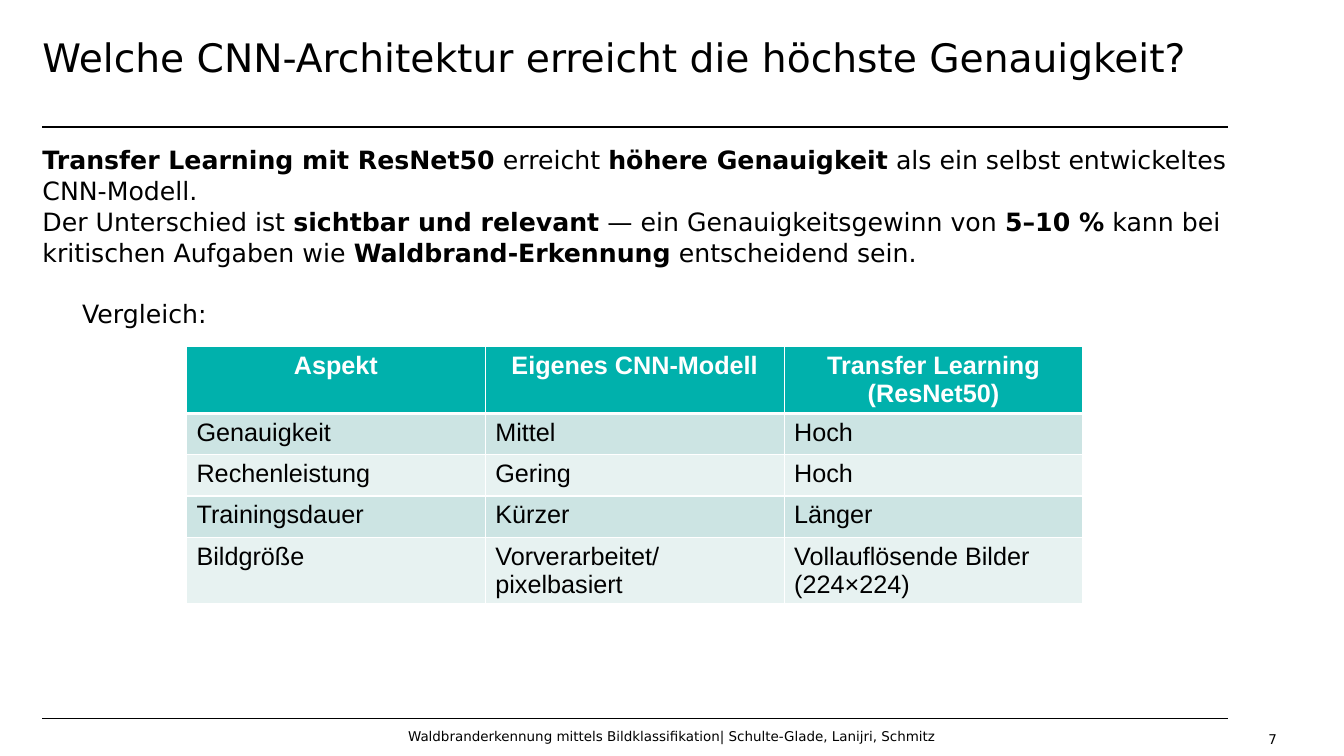
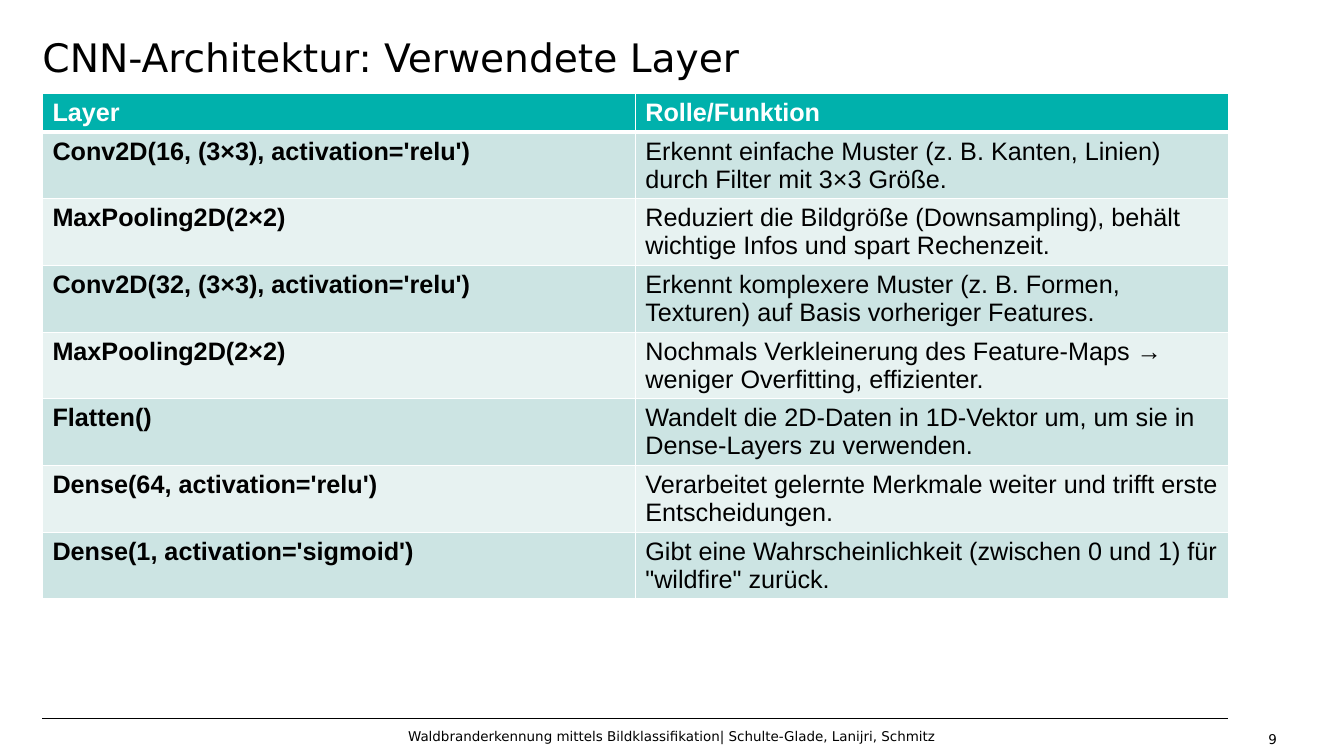
"""Build two slides on CNN architectures for wildfire detection."""
from dataclasses import dataclass
from typing import Any, NamedTuple

from lxml.etree import SubElement
from pptx import Presentation
from pptx.dml.color import RGBColor
from pptx.enum.shapes import MSO_CONNECTOR
from pptx.enum.text import MSO_ANCHOR, MSO_AUTO_SIZE, PP_ALIGN
from pptx.oxml.ns import qn
from pptx.util import Cm, Pt


@dataclass(frozen=True)
class Theme:
    """Colours, fonts and type sizes of the deck."""

    ink: RGBColor = RGBColor(0x00, 0x00, 0x00)
    paper: RGBColor = RGBColor(0xFF, 0xFF, 0xFF)
    header: RGBColor = RGBColor(0x00, 0xB1, 0xAC)
    bands: tuple[RGBColor, RGBColor] = (RGBColor(0xCC, 0xE4, 0xE3), RGBColor(0xE7, 0xF2, 0xF1))
    text_font: str = "DejaVu Sans"
    table_font: str = "Arial"
    title_size: Pt = Pt(28)
    body_size: Pt = Pt(18)
    footer_size: Pt = Pt(9.6)
    rule_width: Pt = Pt(1)
    header_rule_width: Pt = Pt(3)


class Area(NamedTuple):
    """Left, top, width and height of a box."""

    left: Cm
    top: Cm
    width: Cm
    height: Cm


class Span(NamedTuple):
    """A stretch of text, bold or regular."""

    text: str
    bold: bool = False


class Statement(NamedTuple):
    """A body paragraph with its spacing and indent."""

    spans: tuple[Span, ...]
    before: Pt = Pt(0)
    indent: Cm = Cm(0)


class Grid(NamedTuple):
    """A table with a header row and banded rows."""

    left: Cm
    top: Cm
    column_width: Cm
    row_heights: tuple[Cm, ...]
    rows: tuple[tuple[str, ...], ...]
    header_align: PP_ALIGN = PP_ALIGN.LEFT
    bold_first_column: bool = False


class Content(NamedTuple):
    """Everything that differs from page to page."""

    number: int
    title: str
    grid: Grid
    statements: tuple[Statement, ...] = ()


THEME = Theme()
MARGIN = Cm(1.07)
TEXT_WIDTH = Cm(29.88)
TITLE_AREA = Area(MARGIN, Cm(0.79), TEXT_WIDTH, Cm(2))
BODY_AREA = Area(MARGIN, Cm(3.61), TEXT_WIDTH, Cm(14))
FOOTER_AREA = Area(Cm(9.14), Cm(18.03), Cm(15.57), Cm(1.02))
NUMBER_AREA = Area(Cm(24.28), Cm(18.11), Cm(7.9), Cm(1.02))
RULE_TOPS = (Cm(3.2), Cm(18.11))
FOOTER = "Waldbranderkennung mittels Bildklassifikation| Schulte-Glade, Lanijri, Schmitz"
ONE_LINE = Cm(1.04)
TWO_LINES = Cm(1.68)
TITLE_AND_BODY, TITLE_ONLY = 1, 5

FRAME_FORMAT = {
    "margin_left": 0, "margin_top": 0, "margin_right": 0, "margin_bottom": 0,
    "word_wrap": True, "auto_size": MSO_AUTO_SIZE.NONE,
}

COMPARISON = Content(
    number=7,
    title="Welche CNN-Architektur erreicht die höchste Genauigkeit?",
    statements=(
        Statement((
            Span("Transfer Learning mit ResNet50", True), Span(" erreicht "),
            Span("höhere Genauigkeit", True),
            Span(" als ein selbst entwickeltes CNN-Modell."),
        )),
        Statement((
            Span("Der Unterschied ist "), Span("sichtbar und relevant", True),
            Span(" — ein Genauigkeitsgewinn von "), Span("5–10 %", True),
            Span(" kann bei kritischen Aufgaben wie "),
            Span("Waldbrand-Erkennung", True), Span(" entscheidend sein."),
        )),
        Statement((Span("Vergleich:"),), before=Pt(21.5), indent=Cm(1)),
    ),
    grid=Grid(
        left=Cm(4.7), top=Cm(8.74), column_width=Cm(7.53),
        row_heights=(TWO_LINES, ONE_LINE, ONE_LINE, ONE_LINE, TWO_LINES),
        header_align=PP_ALIGN.CENTER,
        rows=(
            ("Aspekt", "Eigenes CNN-Modell", "Transfer Learning (ResNet50)"),
            ("Genauigkeit", "Mittel", "Hoch"),
            ("Rechenleistung", "Gering", "Hoch"),
            ("Trainingsdauer", "Kürzer", "Länger"),
            ("Bildgröße", "Vorverarbeitet/pixelbasiert", "Vollauflösende Bilder (224×224)"),
        ),
    ),
)

LAYERS = Content(
    number=9,
    title="CNN-Architektur: Verwendete Layer",
    grid=Grid(
        left=MARGIN, top=Cm(2.36), column_width=Cm(14.94),
        row_heights=(Cm(0.97),) + (TWO_LINES,) * 7,
        bold_first_column=True,
        rows=(
            ("Layer", "Rolle/Funktion"),
            ("Conv2D(16, (3×3), activation='relu')",
             "Erkennt einfache Muster (z. B. Kanten, Linien) durch Filter mit 3×3 Größe."),
            ("MaxPooling2D(2×2)",
             "Reduziert die Bildgröße (Downsampling), behält wichtige Infos und spart Rechenzeit."),
            ("Conv2D(32, (3×3), activation='relu')",
             "Erkennt komplexere Muster (z. B. Formen, Texturen) auf Basis vorheriger Features."),
            ("MaxPooling2D(2×2)",
             "Nochmals Verkleinerung des Feature-Maps → weniger Overfitting, effizienter."),
            ("Flatten()",
             "Wandelt die 2D-Daten in 1D-Vektor um, um sie in Dense-Layers zu verwenden."),
            ("Dense(64, activation='relu')",
             "Verarbeitet gelernte Merkmale weiter und trifft erste Entscheidungen."),
            ("Dense(1, activation='sigmoid')",
             "Gibt eine Wahrscheinlichkeit (zwischen 0 und 1) für \"wildfire\" zurück."),
        ),
    ),
)


def apply_format(target: Any, values: dict[str, Any]) -> None:
    """Set each named attribute on the target."""
    for name, value in values.items():
        setattr(target, name, value)


def add_span(para: Any, span: Span, size: Pt, font: str = THEME.text_font,
             color: RGBColor = THEME.ink) -> None:
    """Append a formatted span to a paragraph."""
    run = para.add_run()
    run.text = span.text
    apply_format(run.font, {"name": font, "size": size, "bold": span.bold})
    run.font.color.rgb = color


def prepare_box(box: Any, area: Area, anchor: MSO_ANCHOR) -> Any:
    """Place a box, clear its insets and return its text frame."""
    apply_format(box, area._asdict())
    apply_format(box.text_frame, FRAME_FORMAT | {"vertical_anchor": anchor})
    return box.text_frame


def add_rule(page: Any, top: Cm) -> None:
    """Draw a horizontal rule across the text width."""
    rule = page.shapes.add_connector(
        MSO_CONNECTOR.STRAIGHT, MARGIN, top, MARGIN + TEXT_WIDTH, top)
    rule.line.color.rgb = THEME.ink
    rule.line.width = THEME.rule_width
    SubElement(rule.element.spPr, qn("a:effectLst"))


def add_footer_text(page: Any, area: Area, text: str, align: PP_ALIGN) -> None:
    """Write one line of footer text."""
    box = page.shapes.add_textbox(*area)
    para = prepare_box(box, area, MSO_ANCHOR.MIDDLE).paragraphs[0]
    para.alignment = align
    add_span(para, Span(text), THEME.footer_size)


def fill_title(page: Any, text: str) -> None:
    """Format and fill the title placeholder."""
    para = prepare_box(page.shapes.title, TITLE_AREA, MSO_ANCHOR.TOP).paragraphs[0]
    apply_format(para, {"alignment": PP_ALIGN.LEFT, "line_spacing": 1.05, "space_before": Pt(0)})
    add_span(para, Span(text), THEME.title_size)


def fill_body(page: Any, statements: tuple[Statement, ...]) -> None:
    """Format and fill the body placeholder without bullets."""
    frame = prepare_box(page.placeholders[1], BODY_AREA, MSO_ANCHOR.TOP)
    for index, statement in enumerate(statements):
        para = frame.add_paragraph() if index else frame.paragraphs[0]
        apply_format(para, {
            "alignment": PP_ALIGN.LEFT, "line_spacing": 1.03,
            "space_before": statement.before, "space_after": Pt(0),
        })
        properties = para._p.get_or_add_pPr()
        properties.set("marL", str(int(statement.indent)))
        properties.set("indent", "0")
        SubElement(properties, qn("a:buNone"))
        for span in statement.spans:
            add_span(para, span, THEME.body_size)


def add_borders(cell: Any, top: Pt, bottom: Pt) -> None:
    """Give a cell light borders on all four sides."""
    properties = cell._tc.get_or_add_tcPr()
    sides = {"lnL": THEME.rule_width, "lnR": THEME.rule_width, "lnT": top, "lnB": bottom}
    for side, width in sides.items():
        line = SubElement(properties, qn(f"a:{side}"), w=str(int(width)))
        fill = SubElement(line, qn("a:solidFill"))
        SubElement(fill, qn("a:srgbClr"), val=str(THEME.paper))


def add_grid(page: Any, grid: Grid) -> None:
    """Add a table with a coloured header and banded rows."""
    columns = len(grid.rows[0])
    table = page.shapes.add_table(
        len(grid.rows), columns, grid.left, grid.top,
        grid.column_width * columns, sum(grid.row_heights)).table
    for column in table.columns:
        column.width = grid.column_width
    for row_index, texts in enumerate(grid.rows):
        table.rows[row_index].height = grid.row_heights[row_index]
        is_header = row_index == 0
        top = THEME.header_rule_width if row_index == 1 else THEME.rule_width
        bottom = THEME.header_rule_width if is_header else THEME.rule_width
        for column_index, text in enumerate(texts):
            cell = table.cell(row_index, column_index)
            add_borders(cell, top, bottom)
            cell.fill.solid()
            cell.fill.fore_color.rgb = (
                THEME.header if is_header else THEME.bands[(row_index - 1) % 2])
            para = cell.text_frame.paragraphs[0]
            para.alignment = grid.header_align if is_header else PP_ALIGN.LEFT
            bold = is_header or (grid.bold_first_column and column_index == 0)
            add_span(para, Span(text, bold), THEME.body_size, THEME.table_font,
                     THEME.paper if is_header else THEME.ink)


def add_page(deck: Any, content: Content) -> None:
    """Add one page with title, rules, content and footer."""
    layout = TITLE_AND_BODY if content.statements else TITLE_ONLY
    page = deck.slides.add_slide(deck.slide_layouts[layout])
    for top in RULE_TOPS:
        add_rule(page, top)
    fill_title(page, content.title)
    if content.statements:
        fill_body(page, content.statements)
    add_grid(page, content.grid)
    add_footer_text(page, NUMBER_AREA, str(content.number), PP_ALIGN.RIGHT)
    add_footer_text(page, FOOTER_AREA, FOOTER, PP_ALIGN.CENTER)


def main() -> None:
    """Build and save the deck."""
    deck = Presentation()
    apply_format(deck, {"slide_width": Cm(33.87), "slide_height": Cm(19.05)})
    for content in (COMPARISON, LAYERS):
        add_page(deck, content)
    deck.save("out.pptx")


if __name__ == "__main__":
    main()
